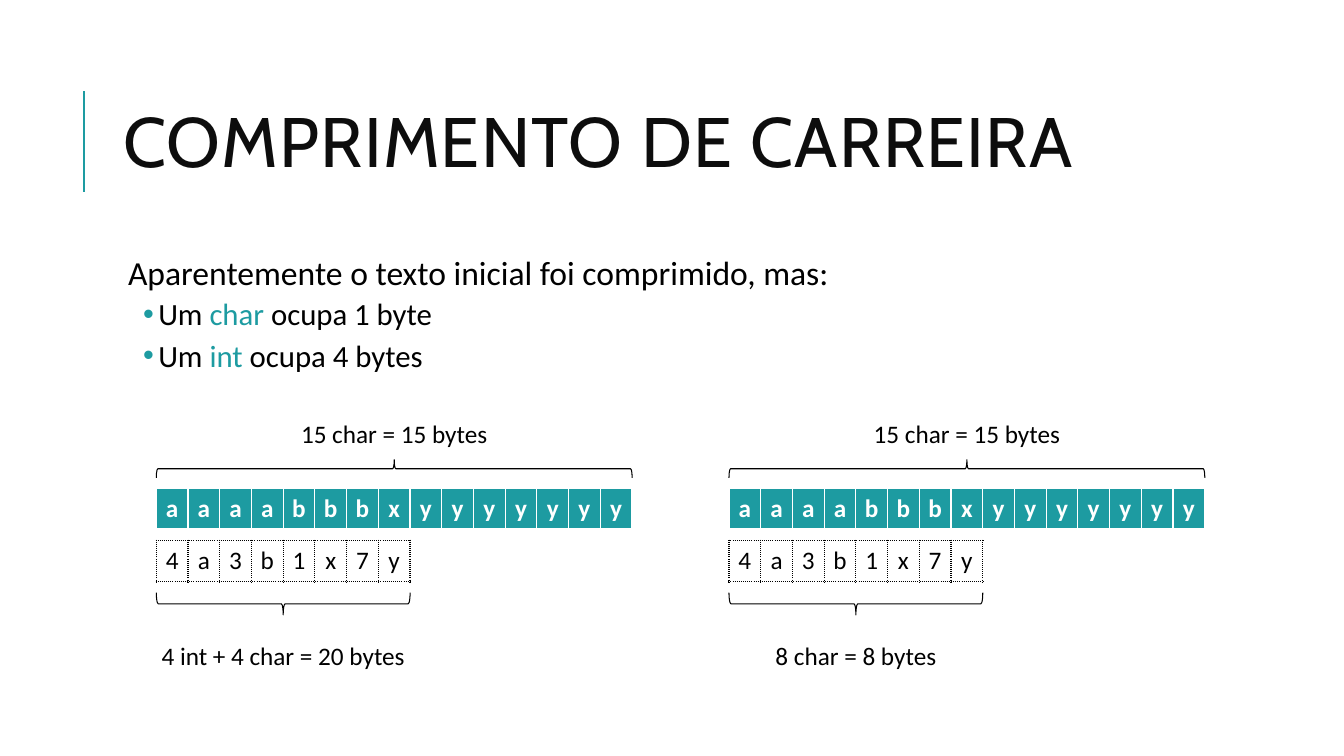
from dataclasses import dataclass

import pptx
import pptx.dml.color
import pptx.enum.shapes
import pptx.enum.text
import pptx.oxml.ns
import pptx.util
from lxml import etree
from pptx.util import Inches

ALIGN = pptx.enum.text.PP_ALIGN
ANCHOR = pptx.enum.text.MSO_ANCHOR
qn = pptx.oxml.ns.qn


@dataclass(frozen=True)
class Theme:
    accent: str = "1D9BA1"
    heading: str = "0D0D0D"
    ink: str = "000000"
    paper: str = "FFFFFF"
    title_font: str = "Cabin"
    body_font: str = "Calibri"
    title_size: int = 50
    lead_size: int = 24
    bullet_size: int = 22
    label_size: int = 18


THEME = Theme()


def rgb(color):
    return pptx.dml.color.RGBColor.from_string(color)


def set_font(font, size, color, name=THEME.body_font, bold=False):
    font.name, font.size, font.bold = name, pptx.util.Pt(size), bold
    font.color.rgb = rgb(color)


def add_title(slide, text, left, top, width, height):
    # Accent rule beside the title
    rule_left = left - Inches(0.29)
    rule = slide.shapes.add_connector(
        pptx.enum.shapes.MSO_CONNECTOR.STRAIGHT,
        rule_left, top + Inches(1.26), rule_left, top + Inches(0.26))
    rule.line.color.rgb = rgb(THEME.accent)
    rule.line.width = pptx.util.Pt(1.5)
    etree.SubElement(rule._element.spPr, qn("a:effectLst"))

    # Title text
    title = slide.shapes.title
    title.left, title.top, title.width, title.height = left, top, width, height
    frame = title.text_frame
    frame.text = text
    frame.word_wrap = True
    frame.auto_size = pptx.enum.text.MSO_AUTO_SIZE.NONE
    frame.vertical_anchor = ANCHOR.MIDDLE
    heading = frame.paragraphs[0]
    heading.alignment = ALIGN.LEFT
    heading.line_spacing = 0.8
    set_font(heading.font, THEME.title_size, THEME.heading, THEME.title_font)
    heading.runs[0].font._element.set("spc", "100")


def add_bullet(paragraph):
    properties = paragraph._p.get_or_add_pPr()
    properties.set("marL", str(Inches(0.4)))
    properties.set("indent", str(Inches(-0.15)))
    color = etree.SubElement(properties, qn("a:buClr"))
    etree.SubElement(color, qn("a:srgbClr"), val=THEME.accent)
    etree.SubElement(properties, qn("a:buFont"), typeface="Arial")
    etree.SubElement(properties, qn("a:buChar"), char="•")


def add_explanation(slide, lead, type_sizes, left, top, width, height):
    frame = slide.shapes.add_textbox(left, top, width, height).text_frame
    frame.word_wrap = True
    frame.margin_left = frame.margin_right = Inches(0.05)

    # Lead sentence
    sentence = frame.paragraphs[0]
    sentence.text = lead
    sentence.line_spacing = 0.9
    sentence.space_before, sentence.space_after = pptx.util.Pt(12), pptx.util.Pt(2)
    sentence._p.get_or_add_pPr().set("marL", str(Inches(0.1)))
    set_font(sentence.font, THEME.lead_size, THEME.ink)

    # Size of each data type
    for type_name, size in type_sizes:
        bullet = frame.add_paragraph()
        bullet.level = 1
        bullet.line_spacing = 0.9
        bullet.space_before, bullet.space_after = pptx.util.Pt(2), pptx.util.Pt(4)
        add_bullet(bullet)
        for text, color in (("Um ", THEME.ink), (type_name, THEME.accent),
                            (f" ocupa {size}", THEME.ink)):
            run = bullet.add_run()
            run.text = text
            set_font(run.font, THEME.bullet_size, color)


def set_borders(cell, color, widths, dash):
    properties = cell._tc.get_or_add_tcPr()
    for position, (side, width) in enumerate(zip(("lnL", "lnR", "lnT", "lnB"), widths)):
        border = etree.Element(qn(f"a:{side}"), w=str(pptx.util.Pt(width)))
        fill = etree.SubElement(border, qn("a:solidFill"))
        etree.SubElement(fill, qn("a:srgbClr"), val=color)
        etree.SubElement(border, qn("a:prstDash"), val=dash)
        properties.insert(position, border)


def add_characters(slide, characters, left, top, cell_width, packed):
    height = Inches(0.41)
    table = slide.shapes.add_table(
        1, len(characters), left, top, cell_width * len(characters), height).table
    table.first_row = table.horz_banding = False
    for column, character in enumerate(characters):
        table.columns[column].width = cell_width
        cell = table.cell(0, column)
        cell.margin_left = cell.margin_right = 0
        cell.text = character
        paragraph = cell.text_frame.paragraphs[0]
        paragraph.alignment = ALIGN.CENTER
        if packed:
            cell.fill.background()
            set_font(paragraph.font, THEME.label_size, THEME.ink)
            set_borders(cell, THEME.ink, (1, 1, 1, 1), "sysDot")
        else:
            cell.fill.solid()
            cell.fill.fore_color.rgb = rgb(THEME.accent)
            set_font(paragraph.font, THEME.label_size, THEME.paper, bold=True)
            set_borders(cell, THEME.paper, (1, 1, 1, 3), "solid")


def add_brace(slide, left, top, length, depth, rotation):
    # An upright brace turned about its centre to lie along the row
    brace = slide.shapes.add_shape(
        pptx.enum.shapes.MSO_SHAPE.RIGHT_BRACE,
        left + (length - depth) // 2, top + (depth - length) // 2, depth, length)
    brace.rotation = rotation
    brace.shadow.inherit = False
    brace.fill.background()
    brace.line.color.rgb = rgb(THEME.ink)
    brace.line.width = pptx.util.Pt(0.75)


def add_size_label(slide, text, center, top, width):
    frame = slide.shapes.add_textbox(
        center - width // 2, top, width, Inches(0.4)).text_frame
    frame.word_wrap = False
    frame.text = text
    label = frame.paragraphs[0]
    label.alignment = ALIGN.CENTER
    set_font(label.font, THEME.label_size, THEME.ink)


def add_comparison(slide, original, packed, packed_size, size_width, left, top, width):
    cell_width = width // len(original)
    packed_width = cell_width * len(packed)

    # Text before compression
    add_size_label(slide, "15 char = 15 bytes", left + width // 2, top, Inches(2.18))
    add_brace(slide, left, top + Inches(0.46), width, Inches(0.18), 270)
    add_characters(slide, original, left, top + Inches(0.75), cell_width, packed=False)

    # Text after compression
    add_characters(slide, packed, left, top + Inches(1.26), cell_width, packed=True)
    add_brace(slide, left, top + Inches(1.78), packed_width, Inches(0.22), 90)
    add_size_label(slide, packed_size, left + packed_width // 2,
                   top + Inches(2.2), size_width)


def main():
    deck = pptx.Presentation()
    deck.slide_width, deck.slide_height = Inches(13.33), Inches(7.5)
    slide = deck.slides.add_slide(deck.slide_layouts.get_by_name("Title Only"))

    add_title(slide, "COMPRIMENTO DE CARREIRA",
              Inches(1.12), Inches(0.64), Inches(10.63), Inches(1.64))
    add_explanation(slide, "Aparentemente o texto inicial foi comprimido, mas:",
                    (("char", "1 byte"), ("int", "4 bytes")),
                    Inches(1.12), Inches(2.5), Inches(10.63), Inches(1.4))
    for left, packed_size, size_width in ((1.55, "4 int + 4 char = 20 bytes", 2.79),
                                          (7.23, "8 char = 8 bytes", 1.95)):
        add_comparison(slide, "aaaabbbxyyyyyyy", "4a3b1x7y", packed_size,
                       Inches(size_width), Inches(left), Inches(4.1), Inches(4.72))

    deck.save("out.pptx")


if __name__ == "__main__":
    main()
